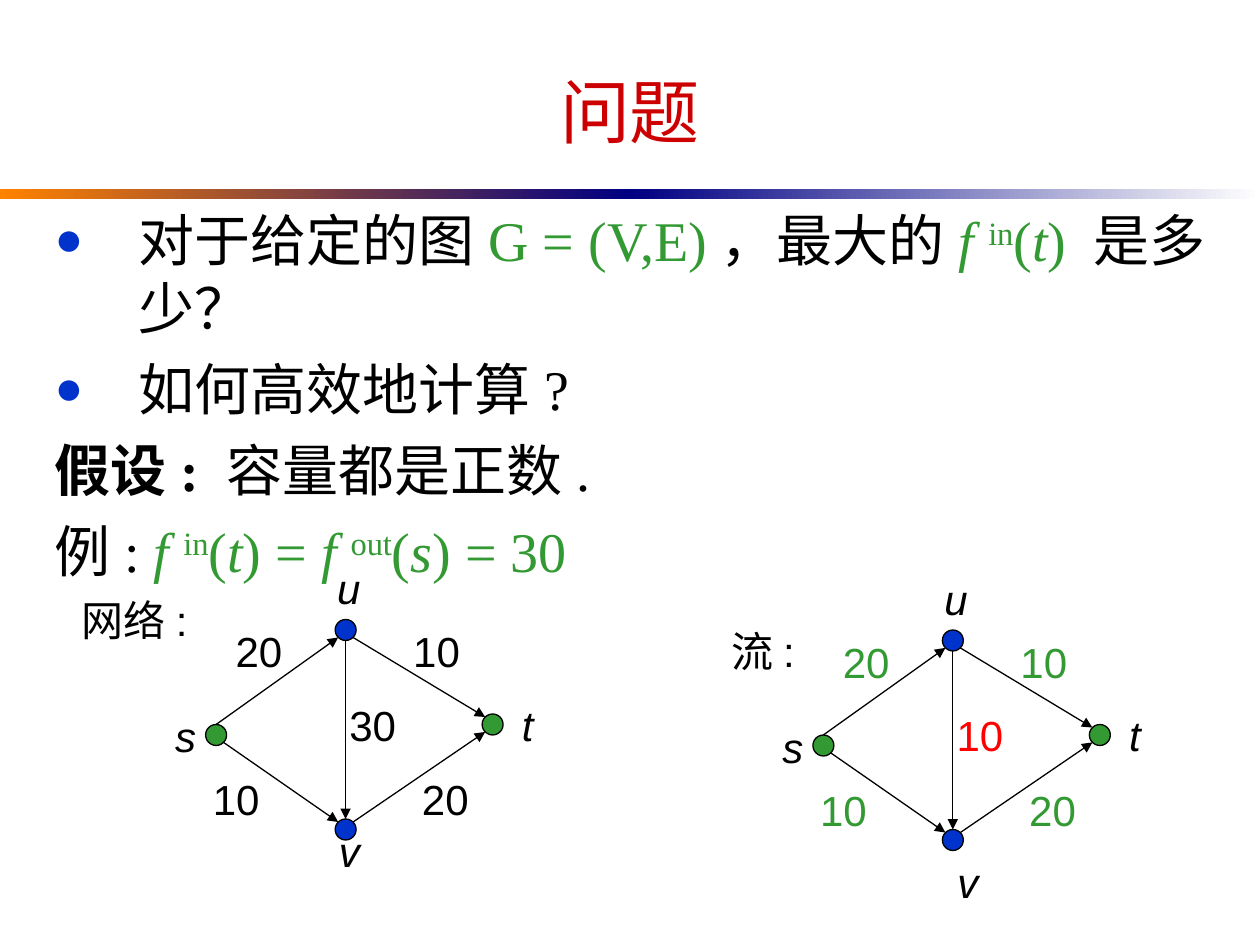
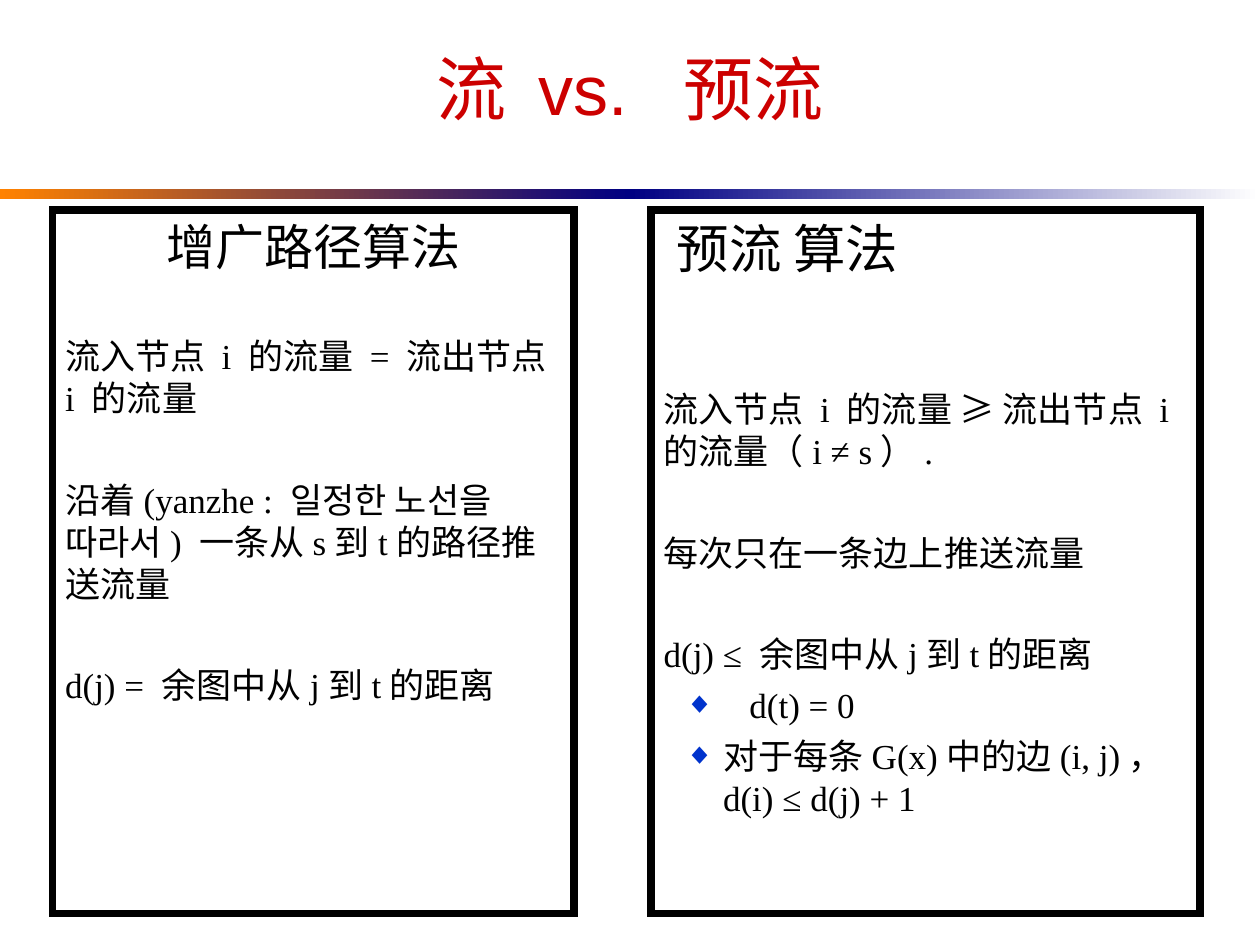
from lxml import etree
from pptx import Presentation
from pptx.dml.color import RGBColor
from pptx.enum import shapes, text
from pptx.oxml.ns import qn
from pptx.util import Pt

RED = RGBColor(0xCC, 0x00, 0x00)
BRIGHT_RED = RGBColor(0xFF, 0x00, 0x00)
GREEN = RGBColor(0x33, 0x99, 0x33)
BLUE = RGBColor(0x00, 0x33, 0xCC)
BLACK = RGBColor(0x00, 0x00, 0x00)
WHITE = RGBColor(0xFF, 0xFF, 0xFF)
ORANGE = RGBColor(0xFF, 0x82, 0x00)
NAVY = RGBColor(0x00, 0x00, 0x82)
SANS, SERIF = "Arial", "Times New Roman"

# Runs are (text, flags): g green, i italic, b bold, ^ superscript.
F_IN_T = [("f ", "gi"), ("in", "g^"), ("(", "g"), ("t", "gi")]
F_OUT_S = [("f ", "gi"), ("out", "g^"), ("(", "g"), ("s", "gi")]
HANG = dict(left=48, indent=-48, before=8)
QUESTIONS = [
    ([("对于给定的图", ""), ("G = (V,E)", "g"), ("，最大的", ""), *F_IN_T,
      (") ", "g"), ("是多少？", "")],
     dict(HANG, bullet="●", before=0)),
    ([("如何高效地计算?", "")], dict(HANG, bullet="●")),
    ([("假设: ", "b"), ("容量都是正数.", "")], HANG),
    ([("例: ", ""), *F_IN_T, (") = ", "g"), *F_OUT_S, (") = 30", "g")], HANG),
]

NODES = {"s": (123.5, 420, GREEN), "u": (197.5, 360, BLUE),
         "t": (281.5, 414, GREEN), "v": (197.5, 474, BLUE)}
RADIUS = 6
DIAG = RADIUS * 0.71
# (from, side of from, to, side of to, label centre)
EDGES = [
    ("u", (DIAG, DIAG), "t", (-DIAG, -DIAG), (249.5, 372)),
    ("s", (0, -RADIUS), "u", (-DIAG, DIAG), (148, 372)),
    ("s", (DIAG, DIAG), "v", (-DIAG, -DIAG), (135, 456.5)),
    ("v", (DIAG, -DIAG), "t", (-DIAG, DIAG), (254.5, 456.5)),
    ("u", (0, RADIUS), "v", (0, -RADIUS), (213, 414)),
]
NODE_LABELS = {"s": (106, 420.5), "u": (198.5, 336),
               "t": (301.5, 414), "v": (199.5, 486)}
GRAPHS = [
    dict(caption="网络:", caption_at=(77, 354), shift=(0, 0), v_label=(199.5, 486),
         values=[("10", BLACK), ("20", BLACK), ("10", BLACK), ("20", BLACK),
                 ("30", BLACK)]),
    dict(caption="流:", caption_at=(436, 372), shift=(347, 6), v_label=(206, 498),
         values=[("10", GREEN), ("20", GREEN), ("10", GREEN), ("20", GREEN),
                 ("10", BRIGHT_RED)]),
]

CLOSE, APART, FAR = dict(before=5), dict(before=34), dict(before=62)
COLUMNS = [
    ((30, 120, 298, 402), [
        ("增广路径算法", 28, dict(align=text.PP_ALIGN.CENTER)),
        ("流入节点 i 的流量 = 流出节点 i 的流量", 20, APART),
        ("沿着(yanzhe : 일정한 노선을 따라서) 一条从s到t的路径推送流量", 20, APART),
        ("d(j) = 余图中从j到t的距离", 20, APART),
    ]),
    ((372, 120, 314, 402), [
        ("预流 算法", 30, dict(left=7.5)),
        ("流入节点 i 的流量 ≥ 流出节点 i 的流量（i ≠ s）.", 20, FAR),
        ("每次只在一条边上推送流量", 20, APART),
        ("d(j) ≤ 余图中从j到t的距离", 20, APART),
        ("d(t) = 0", 20, dict(CLOSE, left=49, indent=-37, bullet="◆")),
        ("对于每条G(x)中的边(i, j)，d(i) ≤ d(j) + 1", 20,
         dict(CLOSE, left=34, indent=-22, bullet="◆")),
    ]),
]


def place(sp, box):
    sp.left, sp.top, sp.width, sp.height = map(Pt, box)


def add_run(p, content, size, font, color=BLACK, flags=""):
    r = p.add_run()
    r.text = content
    r.font.name, r.font.size = font, Pt(size)
    r.font.color.rgb = GREEN if "g" in flags else color
    r.font.bold, r.font.italic = "b" in flags, "i" in flags
    if "^" in flags:
        r._r.get_or_add_rPr().set("baseline", "30000")


def format_paragraph(p, before=0, left=0, indent=0, bullet=None,
                     align=text.PP_ALIGN.LEFT):
    p.alignment = align
    p.space_before = Pt(before)
    pPr = p._p.get_or_add_pPr()
    pPr.set("marL", str(Pt(left)))
    pPr.set("indent", str(Pt(indent)))
    if bullet:
        color = etree.SubElement(pPr, qn("a:buClr"))
        etree.SubElement(color, qn("a:srgbClr"), val=str(BLUE))
        etree.SubElement(pPr, qn("a:buSzPct"), val="85000")
        etree.SubElement(pPr, qn("a:buChar"), char=bullet)
    else:
        etree.SubElement(pPr, qn("a:buNone"))


def fill_body(sp, box, paragraphs):
    """Place a body placeholder and write (runs, size, format) paragraphs."""
    place(sp, box)
    tf = sp.text_frame
    tf.auto_size = text.MSO_AUTO_SIZE.NONE
    for i, (runs, size, style) in enumerate(paragraphs):
        p = tf.paragraphs[0] if i == 0 else tf.add_paragraph()
        format_paragraph(p, **style)
        for content, flags in runs:
            add_run(p, content, size, SERIF, flags=flags)


def add_band(s, left, start, end):
    sp = s.shapes.add_shape(shapes.MSO_SHAPE.RECTANGLE, Pt(left), Pt(108), Pt(360), Pt(6))
    sp.shadow.inherit = False
    sp.line.fill.background()
    sp.fill.gradient()
    sp.fill.gradient_angle = 0
    for stop, color, position in zip(sp.fill.gradient_stops, (start, end), (0, 1)):
        stop.color.rgb, stop.position = color, position


def new_slide(prs, layout, title, title_box):
    s = prs.slides.add_slide(prs.slide_layouts[layout])
    add_band(s, 0, ORANGE, NAVY)
    add_band(s, 360, NAVY, WHITE)
    place(s.shapes.title, title_box)
    tf = s.shapes.title.text_frame
    tf.auto_size = text.MSO_AUTO_SIZE.NONE
    tf.vertical_anchor = text.MSO_ANCHOR.MIDDLE
    p = tf.paragraphs[0]
    p.alignment = text.PP_ALIGN.CENTER
    add_run(p, title, 40, SANS, RED)
    return s


def add_label(s, content, center, width, color=BLACK, flags=""):
    x, y = center
    tb = s.shapes.add_textbox(Pt(x - width / 2), Pt(y - 18), Pt(width), Pt(36))
    tf = tb.text_frame
    tf.word_wrap = False
    tf.vertical_anchor = text.MSO_ANCHOR.MIDDLE
    p = tf.paragraphs[0]
    p.alignment = text.PP_ALIGN.CENTER
    add_run(p, content, 24, SANS, color, flags)


def add_arrow(s, start, end):
    c = s.shapes.add_connector(shapes.MSO_CONNECTOR.STRAIGHT, *map(Pt, start + end))
    c.line.color.rgb, c.line.width = BLACK, Pt(0.75)
    spPr = c._element.spPr
    etree.SubElement(spPr.find(qn("a:ln")), qn("a:tailEnd"), type="triangle")
    etree.SubElement(spPr, qn("a:effectLst"))


def add_graph(s, graph):
    def moved(point, offset=(0, 0)):
        return tuple(a + b + c for a, b, c in zip(point, graph["shift"], offset))

    for x, y, color in NODES.values():
        left, top = moved((x - RADIUS, y - RADIUS))
        sp = s.shapes.add_shape(shapes.MSO_SHAPE.OVAL, Pt(left), Pt(top),
                                Pt(2 * RADIUS), Pt(2 * RADIUS))
        sp.shadow.inherit = False
        sp.fill.solid()
        sp.fill.fore_color.rgb = color
        sp.line.color.rgb, sp.line.width = BLACK, Pt(0.75)
    for (a, a_side, b, b_side, center), (value, color) in zip(EDGES, graph["values"]):
        add_arrow(s, moved(NODES[a][:2], a_side), moved(NODES[b][:2], b_side))
        add_label(s, value, moved(center), 41, color)
    for name, center in dict(NODE_LABELS, v=graph["v_label"]).items():
        add_label(s, name, moved(center), 26, flags="i")
    add_label(s, graph["caption"], graph["caption_at"], 75)


def add_question_slide(prs):
    s = new_slide(prs, 1, "问题", (30, 18, 660, 90))
    fill_body(s.placeholders[1], (24, 114, 678, 282),
              [(runs, 32, style) for runs, style in QUESTIONS])
    for graph in GRAPHS:
        add_graph(s, graph)


def add_comparison_slide(prs):
    s = new_slide(prs, 3, "流 vs.  预流", (36, 11, 648, 78))
    for idx, (box, lines) in enumerate(COLUMNS, start=1):
        sp = s.placeholders[idx]
        fill_body(sp, box, [([(line, "")], size, style) for line, size, style in lines])
        sp.fill.solid()
        sp.fill.fore_color.rgb = WHITE
        sp.line.color.rgb, sp.line.width = BLACK, Pt(4.5)
        etree.SubElement(sp._element.spPr.find(qn("a:ln")), qn("a:miter"), lim="800000")


def main():
    prs = Presentation()
    prs.slide_width, prs.slide_height = Pt(720), Pt(540)
    add_question_slide(prs)
    add_comparison_slide(prs)
    prs.save("out.pptx")


if __name__ == "__main__":
    main()
